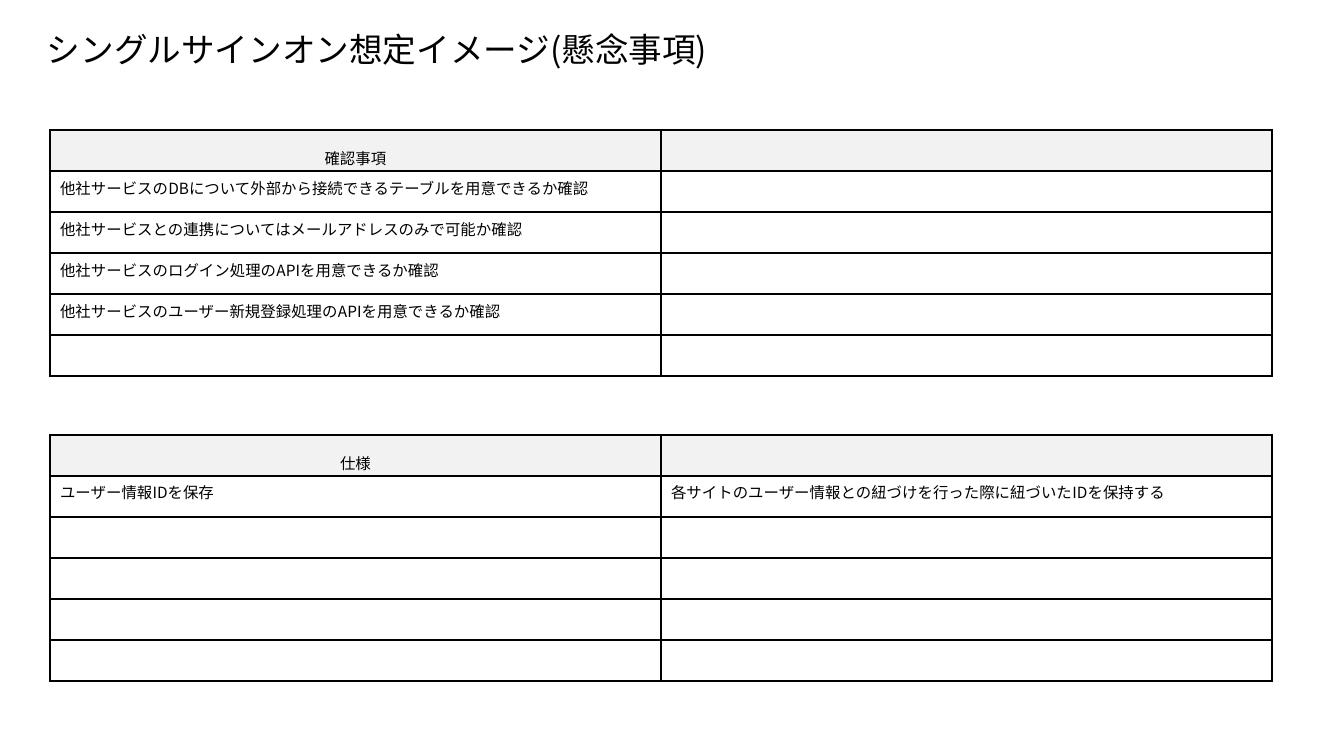
"""Build a slide with a title and two tables on single sign-on concerns."""
from lxml.etree import SubElement
from pptx import Presentation
from pptx.dml.color import RGBColor
from pptx.enum.text import MSO_ANCHOR, PP_ALIGN
from pptx.oxml.ns import qn
from pptx.util import Pt

TITLE = "シングルサインオン想定イメージ(懸念事項)"
CHECKS = [
    ("確認事項", ""),
    ("他社サービスのDBについて外部から接続できるテーブルを用意できるか確認", ""),
    ("他社サービスとの連携についてはメールアドレスのみで可能か確認", ""),
    ("他社サービスのログイン処理のAPIを用意できるか確認", ""),
    ("他社サービスのユーザー新規登録処理のAPIを用意できるか確認", ""),
    ("", ""),
]
SPECS = [
    ("仕様", ""),
    ("ユーザー情報IDを保存",
     "各サイトのユーザー情報との紐づけを行った際に紐づいたIDを保持する"),
    ("", ""),
    ("", ""),
    ("", ""),
    ("", ""),
]
TABLES = [(130, CHECKS), (435, SPECS)]

FONT = "Noto Sans CJK JP"
BLACK = RGBColor(0, 0, 0)
WHITE = RGBColor(255, 255, 255)
GRAY = RGBColor(0xF2, 0xF2, 0xF2)
SCALE = 914400 / 100.8
LEFT, COL, ROW = 50, 611, 41


def px(n):
    return round(n * SCALE)


def write(para, text, size):
    run = para.add_run()
    run.text = text
    run.font.size = Pt(size)
    run.font.name = FONT
    run.font.color.rgb = BLACK
    SubElement(run.font._element, qn("a:ea"), typeface=FONT)


def frame(cell):
    props = cell._tc.get_or_add_tcPr()
    for side in ("L", "R", "T", "B"):
        line = SubElement(props, qn(f"a:ln{side}"), w=str(Pt(1)))
        fill = SubElement(line, qn("a:solidFill"))
        SubElement(fill, qn("a:srgbClr"), val=str(BLACK))


def fill_cell(cell, text, head):
    frame(cell)
    cell.fill.solid()
    cell.fill.fore_color.rgb = GRAY if head else WHITE
    para = cell.text_frame.paragraphs[0]
    if head:
        para.alignment = PP_ALIGN.CENTER
        para.line_spacing = 1.5
    if text:
        write(para, text, 11)
    else:
        SubElement(para._p, qn("a:endParaRPr"), sz="1100")


def add_grid(slide, top, rows):
    cols = len(rows[0])
    table = slide.shapes.add_table(
        len(rows), cols, px(LEFT), px(top),
        px(COL * cols), px(ROW * len(rows))).table
    table.first_row = table.horz_banding = False
    for col in table.columns:
        col.width = px(COL)
    for r, texts in enumerate(rows):
        table.rows[r].height = px(ROW)
        for c, text in enumerate(texts):
            fill_cell(table.cell(r, c), text, r == 0)


def add_title(slide):
    box = slide.shapes.add_textbox(px(37), px(29), px(1214), px(46))
    body = box.text_frame
    body.word_wrap = True
    body.vertical_anchor = MSO_ANCHOR.MIDDLE
    para = body.paragraphs[0]
    para.line_spacing = 0.9
    write(para, TITLE, 24)


def main():
    deck = Presentation()
    deck.slide_width, deck.slide_height = px(1344), px(756)
    slide = deck.slides.add_slide(deck.slide_layouts[6])
    add_title(slide)
    for top, rows in TABLES:
        add_grid(slide, top, rows)
    deck.save("out.pptx")


if __name__ == "__main__":
    main()
